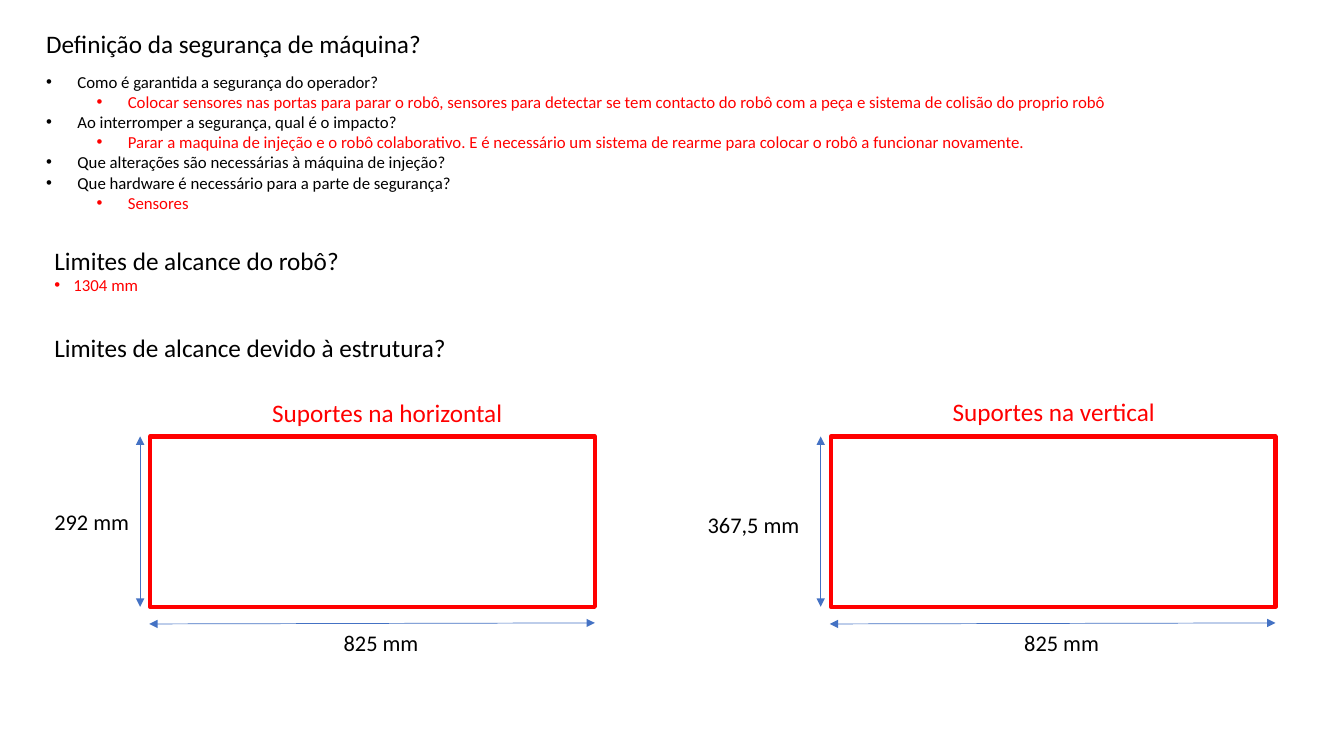
from dataclasses import dataclass

from pptx import Presentation
from pptx.dml.color import RGBColor as Rgb
from pptx.enum.shapes import MSO_CONNECTOR as Connector, MSO_SHAPE as Shape
from pptx.enum.text import MSO_AUTO_SIZE as AutoSize
from pptx.oxml.ns import qn
from pptx.util import Inches, Pt
from lxml.etree import SubElement


@dataclass(frozen=True)
class Theme:
    """Colours, font and type sizes of the slide."""
    font: str = "Calibri"
    question: Rgb = Rgb(0, 0, 0)
    answer: Rgb = Rgb(255, 0, 0)
    dimension: Rgb = Rgb(0x44, 0x72, 0xC4)
    heading: int = 18
    measure: int = 16
    body: int = 12


class SlideBuilder:
    """Draws each kind of element on the current slide."""

    def __init__(self, slide, theme):
        """Keep the slide and its style."""
        self.shapes = slide.shapes
        self.theme = theme

    def text_box(self, left, top, width, height, wrap=True):
        """Add an empty text box and return its frame."""
        frame = self.shapes.add_textbox(
            Inches(left), Inches(top), Inches(width), Inches(height)).text_frame
        frame.word_wrap = wrap
        frame.auto_size = AutoSize.SHAPE_TO_FIT_TEXT
        return frame

    def add_words(self, paragraph, words, size, color):
        """Add one styled run to a paragraph."""
        run = paragraph.add_run()
        run.text = words
        run.font.name = self.theme.font
        run.font.size = Pt(size)
        run.font.color.rgb = color

    def bullet(self, paragraph, words, color, margin, hang, level=0):
        """Turn a paragraph into a bulleted line of body text."""
        paragraph.level = level
        properties = paragraph._p.get_or_add_pPr()
        properties.set("marL", str(Inches(margin)))
        properties.set("indent", str(-Inches(hang)))
        SubElement(properties, qn("a:buFont")).set("typeface", "Arial")
        SubElement(properties, qn("a:buChar")).set("char", "•")
        self.add_words(paragraph, words, self.theme.body, color)

    def label(self, words, box, size, color, wrap=True):
        """Add a one-line text and return its frame."""
        frame = self.text_box(*box, wrap=wrap)
        self.add_words(frame.paragraphs[0], words, size, color)
        return frame

    def outline(self, left, top, width, height):
        """Add an unfilled rectangle."""
        area = self.shapes.add_shape(
            Shape.RECTANGLE, Inches(left), Inches(top), Inches(width), Inches(height))
        area.shadow.inherit = False
        area.fill.background()
        area.line.color.rgb = self.theme.answer
        area.line.width = Pt(3)

    def dimension(self, *ends):
        """Add a thin line with an arrowhead at both ends."""
        arrow = self.shapes.add_connector(Connector.STRAIGHT, *map(Inches, ends))
        arrow.line.color.rgb = self.theme.dimension
        arrow.line.width = Pt(0.5)
        for end in ("a:headEnd", "a:tailEnd"):
            SubElement(arrow.line._get_or_add_ln(), qn(end)).set("type", "triangle")
        SubElement(arrow._element.spPr, qn("a:effectLst"))

    def reach_area(self, left, title, title_box, depth, depth_box):
        """Draw a reach rectangle with its title and two dimensions."""
        theme = self.theme
        top, width, height = 4.33, 4.41, 1.69
        bottom = top + height
        self.outline(left, top, width, height)
        self.label(title, title_box, theme.heading, theme.answer)
        self.label("825 mm", (left + 1.82, 6.19, 1.09, 0.37), theme.measure, theme.question)
        self.dimension(left - 0.01, 6.19, left + width, 6.18)
        self.label(depth, depth_box, theme.measure, theme.question)
        self.dimension(left - 0.1, bottom, left - 0.1, top)


SAFETY = [
    (0, "Como é garantida a segurança do operador?"),
    (1, "Colocar sensores nas portas para parar o robô, sensores para detectar se tem "
        "contacto do robô com a peça e sistema de colisão do proprio robô"),
    (0, "Ao interromper a segurança, qual é o impacto?"),
    (1, "Parar a maquina de injeção e o robô colaborativo. E é necessário um sistema de "
        "rearme para colocar o robô a funcionar novamente."),
    (0, "Que alterações são necessárias à máquina de injeção?"),
    (0, "Que hardware é necessário para a parte de segurança?"),
    (1, "Sensores"),
]


def main():
    """Build the slide and save it."""
    deck = Presentation()
    deck.slide_width, deck.slide_height = Inches(13.33), Inches(7.5)
    theme = Theme()
    builder = SlideBuilder(deck.slides.add_slide(deck.slide_layouts[6]), theme)

    builder.label("Definição da segurança de máquina?", (0.36, 0.23, 3.97, 0.4),
                  theme.heading, theme.question, wrap=False)
    safety = builder.text_box(0.36, 0.66, 10.84, 1.72, wrap=False)
    for index, (level, words) in enumerate(SAFETY):
        line = safety.add_paragraph() if index else safety.paragraphs[0]
        color = theme.answer if level else theme.question
        builder.bullet(line, words, color, 0.31 + 0.5 * level, 0.31, level)

    reach = builder.label("Limites de alcance do robô?", (0.44, 2.38, 3.12, 0.61),
                          theme.heading, theme.question, wrap=False)
    builder.bullet(reach.add_paragraph(), "1304 mm", theme.answer, 0.19, 0.19)

    builder.label("Limites de alcance devido à estrutura?", (0.44, 3.25, 6.67, 0.4),
                  theme.heading, theme.question)
    builder.reach_area(1.49, "Suportes na horizontal", (2.6, 3.89, 2.53, 0.4),
                       "292 mm", (0.44, 4.99, 1.01, 0.37))
    builder.reach_area(8.24, "Suportes na vertical", (9.35, 3.88, 2.77, 0.4),
                       "367,5 mm", (6.92, 5.02, 1.31, 0.37))
    deck.save("out.pptx")


if __name__ == "__main__":
    main()
